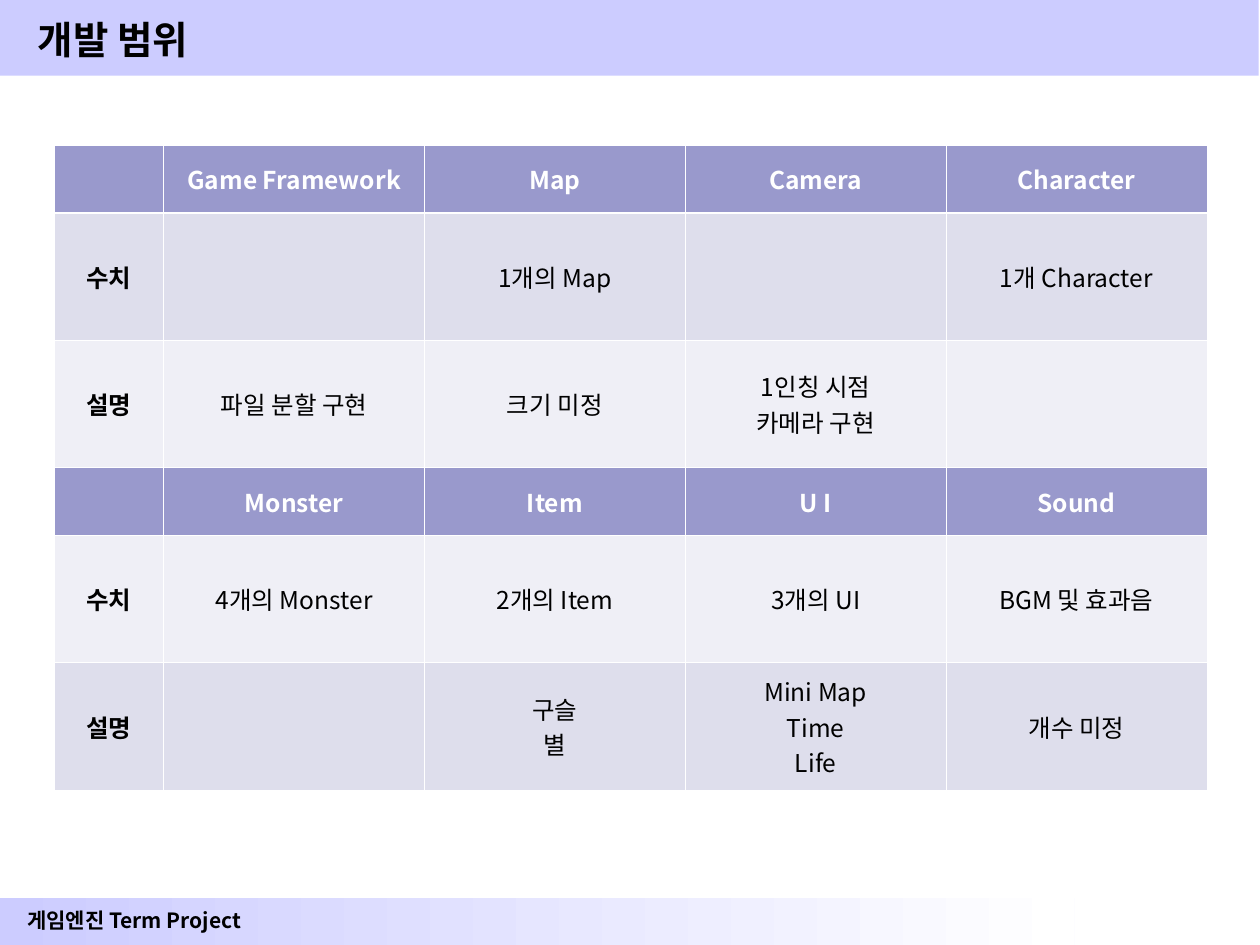
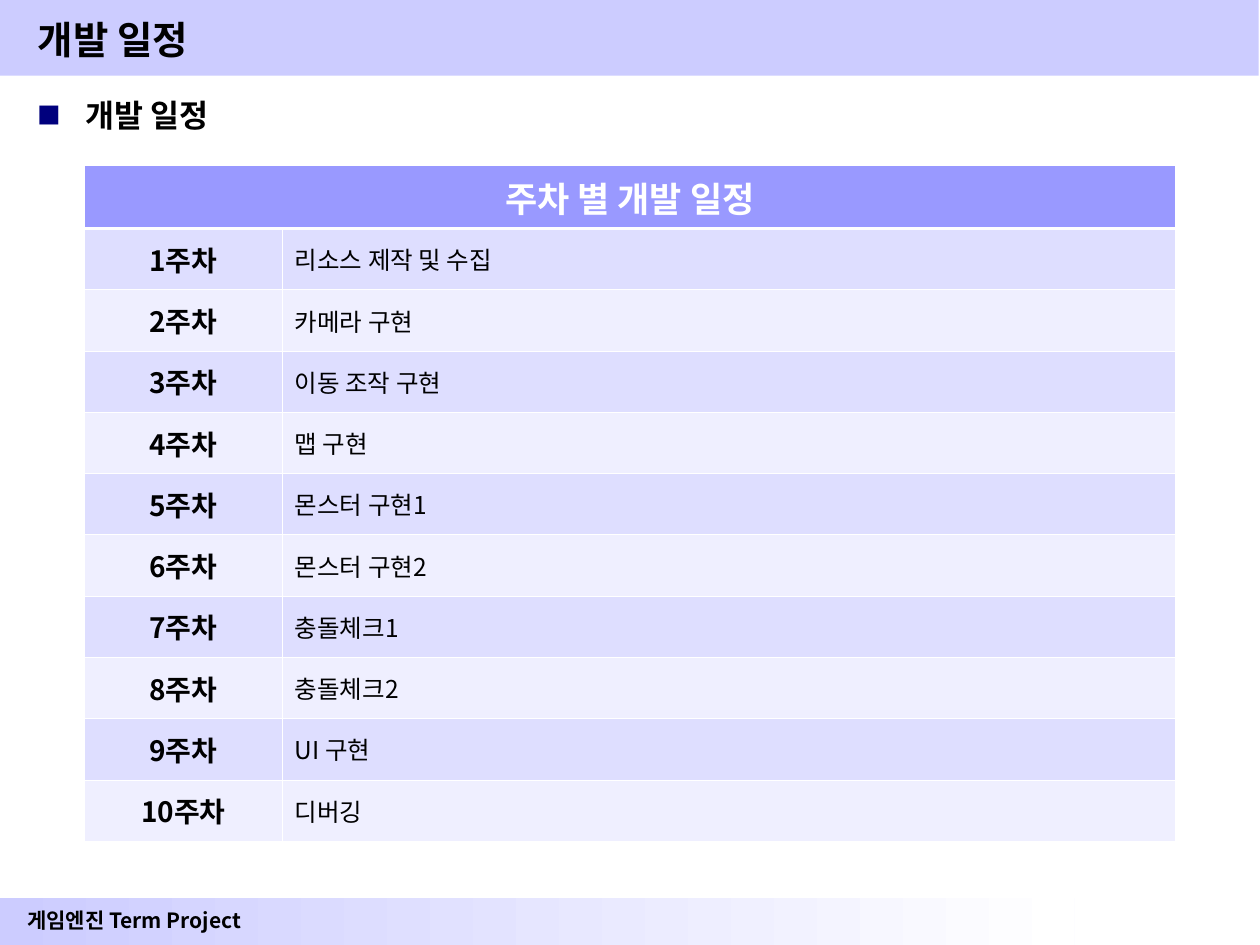
"""Build the scope and schedule slides of a game engine term project."""
from lxml import etree
from pptx import Presentation
from pptx import util as u
from pptx.dml.color import RGBColor
from pptx.enum import shapes, text
from pptx.oxml.ns import qn

FONT = "Noto Sans CJK KR"
BLACK, WHITE, LAVENDER = "000000", "FFFFFF", "CCCCFF"
LEFT, CENTER = text.PP_ALIGN.LEFT, text.PP_ALIGN.CENTER


def style(frame, size, color=BLACK, bold=True, align=LEFT):
    """Format every paragraph of a text frame."""
    for line in frame.paragraphs:
        line.alignment = align
        line.space_before = u.Pt(0)
        line.font.size = u.Pt(size)
        line.font.bold = bold
        line.font.color.rgb = RGBColor.from_string(color)
        line.font.name = FONT
        defaults = line._p.pPr.find(qn("a:defRPr"))
        etree.SubElement(defaults, qn("a:ea"), typeface=FONT)


def fill_cell(cell, words, fill, size, color, bold, align, thick=""):
    """Write one cell with white borders; thick names its heavy side."""
    for side in "LRTB":
        width = u.Pt(1.47 if side == thick else 0.45)
        border = etree.SubElement(cell._tc.get_or_add_tcPr(), qn("a:ln" + side), w=str(width))
        solid = etree.SubElement(border, qn("a:solidFill"))
        etree.SubElement(solid, qn("a:srgbClr"), val=WHITE)
    cell.fill.solid()
    cell.fill.fore_color.rgb = RGBColor.from_string(fill)
    cell.vertical_anchor = text.MSO_ANCHOR.MIDDLE
    cell.text = words
    style(cell.text_frame, size, color, bold, align)


prs = Presentation()
prs.slide_width, prs.slide_height = u.Inches(10), u.Inches(7.5)
scope_slide = prs.slides.add_slide(prs.slide_layouts[5])
schedule_slide = prs.slides.add_slide(prs.slide_layouts[1])

footer_band = scope_slide.shapes.add_shape(
    shapes.MSO_SHAPE.RECTANGLE, 0, u.Inches(7.13), u.Inches(8.53), u.Inches(0.38))
footer_band.fill.gradient()
footer_band.fill.gradient_angle = 0
for stop, color in zip(footer_band.fill.gradient_stops, (LAVENDER, WHITE)):
    stop.color.rgb = RGBColor.from_string(color)
title_band = scope_slide.shapes.add_shape(
    shapes.MSO_SHAPE.RECTANGLE, 0, 0, u.Inches(9.99), u.Inches(0.6))
title_band.fill.solid()
title_band.fill.fore_color.rgb = RGBColor.from_string(LAVENDER)
for band in (footer_band, title_band):
    band.line.fill.background()
    band.shadow.inherit = False
footer = scope_slide.shapes.add_textbox(
    u.Inches(0.04), u.Inches(7.15), u.Inches(2.05), u.Inches(0.3))
footer.text_frame.word_wrap = True
footer.text_frame.text = "게임엔진 Term Project"
style(footer.text_frame, 12, align=CENTER)
for depth, shared in enumerate((footer_band, title_band, footer), start=2):
    prs.slide_master.shapes.element.insert(depth, shared.element)

for slide, heading in ((scope_slide, "개발 범위"), (schedule_slide, "개발 일정")):
    title = slide.shapes.title
    title.left, title.top = u.Inches(0.2), u.Inches(0.05)
    title.width, title.height = u.Inches(9.69), u.Inches(0.52)
    title.text_frame.text = heading
    title.text_frame.auto_size = text.MSO_AUTO_SIZE.NONE
    title.text_frame.vertical_anchor = text.MSO_ANCHOR.MIDDLE
    style(title.text_frame, 22)

scope_rows = [
    ("9999CC", ["", "Game Framework", "Map", "Camera", "Character"]),
    ("DEDEEC", ["수치", "", "1개의 Map", "", "1개 Character"]),
    ("EFEFF6", ["설명", "파일 분할 구현", "크기 미정", "1인칭 시점\n카메라 구현", ""]),
    ("9999CC", ["", "Monster", "Item", "U I", "Sound"]),
    ("EFEFF6", ["수치", "4개의 Monster", "2개의 Item", "3개의 UI", "BGM 및 효과음"]),
    ("DEDEEC", ["설명", "", "구슬\n별", "Mini Map\nTime\nLife", "개수 미정"]),
]
scope = scope_slide.shapes.add_table(
    6, 5, u.Inches(0.43), u.Inches(1.15), u.Inches(9.14), u.Inches(5.12)).table
scope.first_row = scope.horz_banding = False
for col, column in enumerate(scope.columns):
    column.width = u.Inches(2.07 if col else 0.87)
for row, (fill, entries) in enumerate(scope_rows):
    is_header = row % 3 == 0
    scope.rows[row].height = u.Inches(0.54 if is_header else 1.01)
    for col, words in enumerate(entries):
        fill_cell(scope.cell(row, col), words, fill, 14, WHITE if is_header else BLACK,
                  is_header or col == 0, CENTER, {0: "B", 1: "T"}.get(row, ""))

topic = schedule_slide.placeholders[1]
topic.left, topic.top = u.Inches(0.2), u.Inches(0.71)
topic.width, topic.height = u.Inches(9.61), u.Inches(6.3)
topic.text_frame.text = "개발 일정"
topic.text_frame.auto_size = text.MSO_AUTO_SIZE.NONE
bullet = topic.text_frame.paragraphs[0]._p.get_or_add_pPr()
bullet.set("marL", str(u.Inches(0.38)))
bullet.set("indent", str(u.Inches(-0.38)))
bullet_color = etree.SubElement(bullet, qn("a:buClr"))
etree.SubElement(bullet_color, qn("a:srgbClr"), val="00007D")
etree.SubElement(bullet, qn("a:buSzPct"), val="75000")
etree.SubElement(bullet, qn("a:buFont"), typeface=FONT)
etree.SubElement(bullet, qn("a:buChar"), char="■")
style(topic.text_frame, 18)

weekly_tasks = ["리소스 제작 및 수집", "카메라 구현", "이동 조작 구현", "맵 구현", "몬스터 구현1",
                "몬스터 구현2", "충돌체크1", "충돌체크2", "UI 구현", "디버깅"]
schedule = schedule_slide.shapes.add_table(
    11, 2, u.Inches(0.67), u.Inches(1.31), u.Inches(8.66), u.Inches(5.35)).table
schedule.first_row = schedule.horz_banding = False
schedule.columns[0].width, schedule.columns[1].width = u.Inches(1.57), u.Inches(7.09)
for row in schedule.rows:
    row.height = u.Inches(5.35 / 11)
schedule.cell(0, 0).merge(schedule.cell(0, 1))
fill_cell(schedule.cell(0, 0), "주차 별 개발 일정", "9999FF", 20, WHITE, True, CENTER, "B")
for week, task in enumerate(weekly_tasks, start=1):
    fill = "DEDEFF" if week % 2 else "EFEFFF"
    thick = "T" if week == 1 else ""
    fill_cell(schedule.cell(week, 0), f"{week}주차", fill, 16, BLACK, True, CENTER, thick)
    fill_cell(schedule.cell(week, 1), task, fill, 14, BLACK, False, LEFT, thick)

prs.save("out.pptx")
